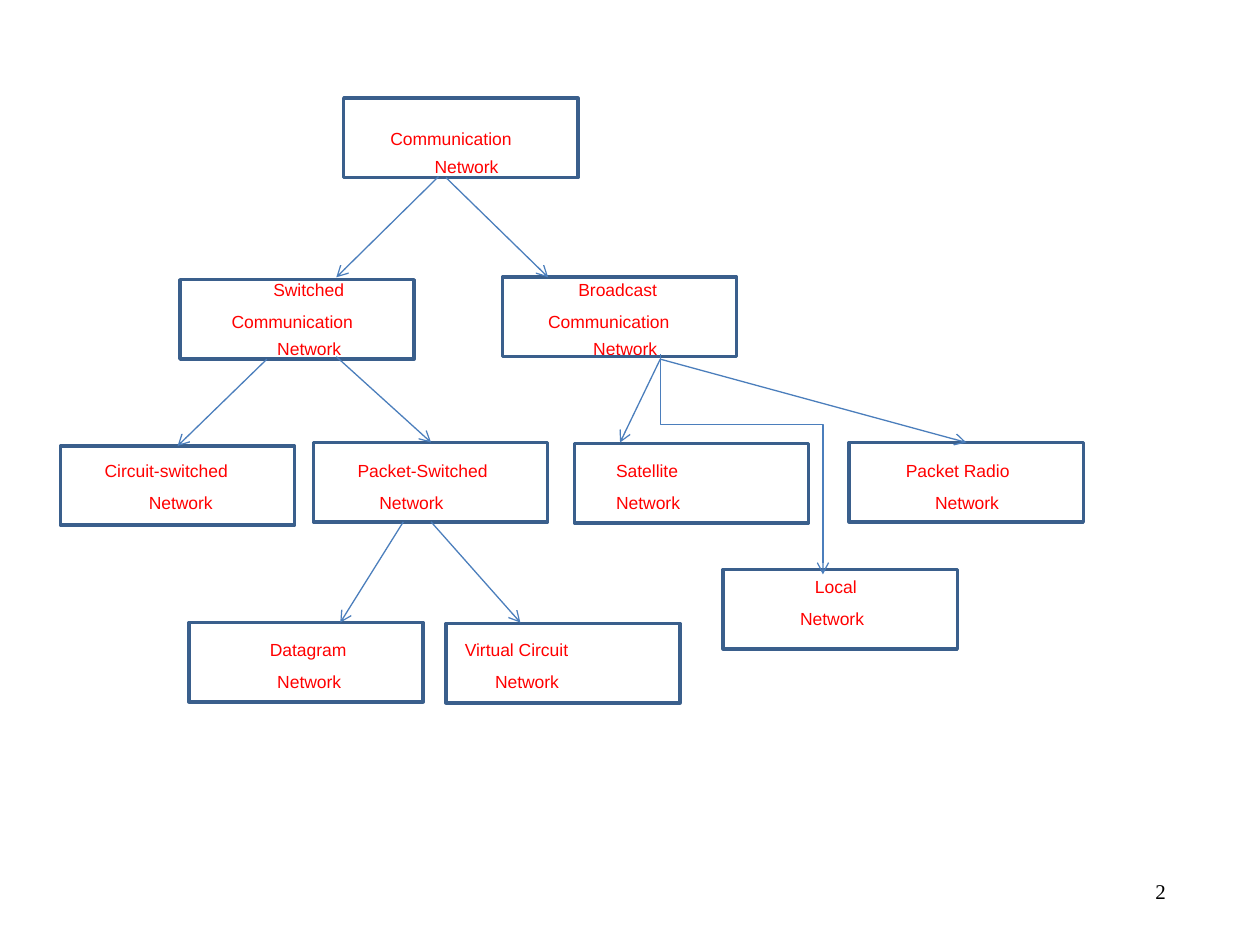
from typing import NamedTuple

from lxml.etree import SubElement
from pptx import Presentation
from pptx.dml.color import RGBColor
from pptx.enum.shapes import MSO_CONNECTOR, MSO_SHAPE
from pptx.enum.text import MSO_AUTO_SIZE
from pptx.oxml.ns import qn
from pptx.util import Cm, Pt

RED = RGBColor(0xFF, 0x00, 0x00)
BLACK = RGBColor(0x00, 0x00, 0x00)
BORDER = RGBColor(0x3A, 0x5F, 0x8C)
ARROW = RGBColor(0x4B, 0x7E, 0xBC)
BOX_W, BOX_H = 4.72, 1.6
LABEL_H = 1.68
CHAR_W = 0.34


class Label(NamedTuple):
    text: str
    x: float
    y: float


class Node(NamedTuple):
    x: float
    y: float
    labels: list[Label]


class Arrow(NamedTuple):
    x1: float
    y1: float
    x2: float
    y2: float


NODES = [
    Node(6.93, 1.98, [Label("Communication", 7.87, 2.72), Label("Network", 8.76, 3.28)]),
    Node(3.63, 5.64, [Label("Switched", 5.51, 5.77), Label("Communication", 4.67, 6.4),
                      Label("Network", 5.59, 6.96)]),
    Node(10.13, 5.59, [Label("Broadcast", 11.66, 5.77), Label("Communication", 11.05, 6.4),
                       Label("Network", 11.96, 6.96)]),
    Node(1.22, 8.99, [Label("Circuit-switched", 2.11, 9.42), Label("Network", 3, 10.06)]),
    Node(6.32, 8.92, [Label("Packet-Switched", 7.21, 9.42), Label("Network", 7.65, 10.06)]),
    Node(11.58, 8.94, [Label("Satellite", 12.42, 9.42), Label("Network", 12.42, 10.06)]),
    Node(17.12, 8.92, [Label("Packet Radio", 18.26, 9.42), Label("Network", 18.85, 10.06)]),
    Node(14.58, 11.48, [Label("Local", 16.43, 11.76), Label("Network", 16.13, 12.4)]),
    Node(3.81, 12.55, [Label("Datagram", 5.44, 13.03), Label("Network", 5.59, 13.67)]),
    Node(8.99, 12.57, [Label("Virtual Circuit", 9.37, 13.03), Label("Network", 9.98, 13.67)]),
]

ARROWS = [
    Arrow(8.99, 3.58, 11.05, 5.59),
    Arrow(8.84, 3.56, 6.78, 5.59),
    Arrow(13.31, 7.24, 19.48, 8.92),
    Arrow(13.31, 7.24, 12.5, 8.92),
    Arrow(5.38, 7.24, 3.58, 8.99),
    Arrow(6.78, 7.19, 8.69, 8.92),
    Arrow(8.13, 10.52, 6.86, 12.55),
    Arrow(8.69, 10.52, 10.49, 12.55),
]
LOCAL_ARROW = Arrow(13.31, 7.14, 16.59, 11.58)


def add_text(s, label: Label, w: float, h: float, font: str, size: float,
             color: RGBColor, spacing: float) -> None:
    """Add one line of unwrapped text."""
    tf = s.shapes.add_textbox(Cm(label.x), Cm(label.y), Cm(w), Cm(h)).text_frame
    tf.margin_left = tf.margin_top = tf.margin_right = tf.margin_bottom = 0
    tf.word_wrap = False
    tf.auto_size = MSO_AUTO_SIZE.SHAPE_TO_FIT_TEXT
    p = tf.paragraphs[0]
    p.text = label.text
    p.line_spacing = Pt(spacing)
    p.font.name, p.font.size = font, Pt(size)
    p.font.color.rgb = color


def add_node(s, node: Node) -> None:
    """Draw an outlined box and its lines of text."""
    for label in node.labels:
        add_text(s, label, CHAR_W * len(label.text), LABEL_H, "Arial", 10, RED, 8.1)
    sp = s.shapes.add_shape(MSO_SHAPE.RECTANGLE, Cm(node.x), Cm(node.y), Cm(BOX_W), Cm(BOX_H))
    sp.shadow.inherit = False
    sp.fill.background()
    sp.line.color.rgb = BORDER
    sp.line.width = Pt(2)


def add_arrow(s, a: Arrow, kind: MSO_CONNECTOR = MSO_CONNECTOR.STRAIGHT):
    """Draw a connector with an open arrowhead at its end."""
    cx = s.shapes.add_connector(kind, Cm(a.x1), Cm(a.y1), Cm(a.x2), Cm(a.y2))
    cx.line.color.rgb = ARROW
    cx.line.width = Pt(0.75)
    SubElement(cx.line._get_or_add_ln(), qn("a:tailEnd"), type="arrow")
    SubElement(cx._element.spPr, qn("a:effectLst"))
    return cx


def add_down_elbow(s, a: Arrow, bend: float) -> None:
    """Draw an elbow arrow that leaves and arrives vertically."""
    mid_x, mid_y = (a.x1 + a.x2) / 2, (a.y1 + a.y2) / 2
    half_w, half_h = (a.y2 - a.y1) / 2, (a.x2 - a.x1) / 2
    turned = Arrow(mid_x + half_w, mid_y - half_h, mid_x - half_w, mid_y + half_h)
    spPr = add_arrow(s, turned, MSO_CONNECTOR.ELBOW)._element.spPr
    spPr.find(qn("a:xfrm")).set("rot", str(270 * 60000))
    av = spPr.find(qn("a:prstGeom")).find(qn("a:avLst"))
    SubElement(av, qn("a:gd"), name="adj1", fmla=f"val {round(bend * 100000)}")


def main() -> None:
    """Build the network classification slide."""
    prs = Presentation()
    prs.slide_width, prs.slide_height = Cm(25.4), Cm(19.05)
    s = prs.slides.add_slide(prs.slide_layouts[6])
    add_text(s, Label("2", 23.29, 17.73), 0.2, 0.99, "Times New Roman", 12, BLACK, 13.8)
    for node in NODES:
        add_node(s, node)
    add_down_elbow(s, LOCAL_ARROW, 0.32)
    for arrow in ARROWS:
        add_arrow(s, arrow)
    prs.save("out.pptx")


main()
